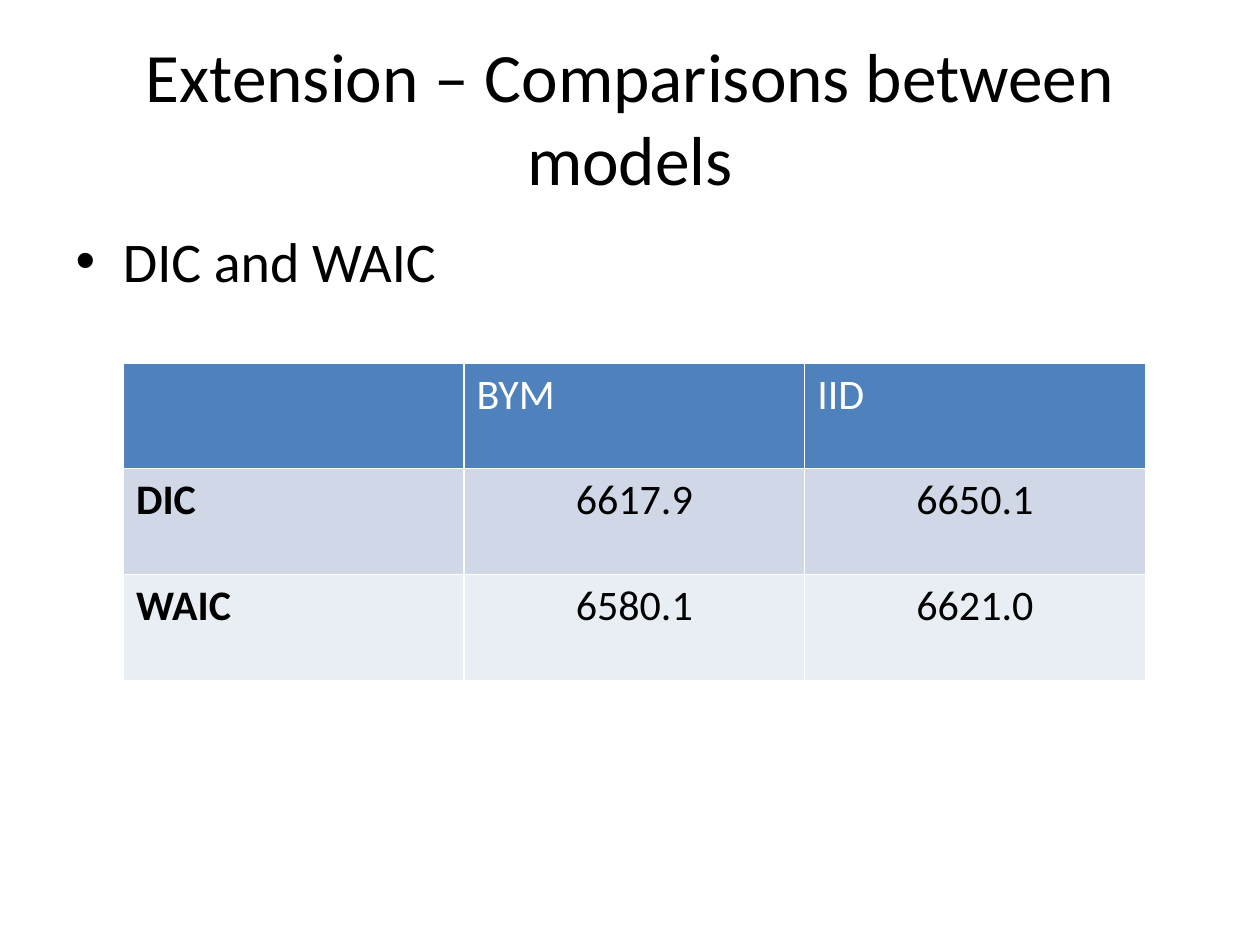
from dataclasses import dataclass

from pptx import Presentation
from pptx.dml.color import RGBColor
from pptx.enum.text import MSO_ANCHOR, MSO_AUTO_SIZE, PP_ALIGN
from pptx.util import Inches, Pt


@dataclass(frozen=True)
class Theme:
    font: str = "Calibri"
    title_size: float = 39.6
    body_size: float = 32
    table_size: float = 24
    text: str = "000000"
    header_text: str = "FFFFFF"
    header_fill: str = "4F81BD"
    band_fills: tuple = ("D0D8E8", "E9EDF4")


THEME = Theme()
SCORES = [
    ("", "BYM", "IID"),
    ("DIC", "6617.9", "6650.1"),
    ("WAIC", "6580.1", "6621.0"),
]


def style_paragraph(para, size, color=THEME.text, bold=False, align=None):
    para.font.name = THEME.font
    para.font.size = Pt(size)
    para.font.bold = bold
    para.font.color.rgb = RGBColor.from_string(color)
    para.alignment = align


def fill_placeholder(box, text, bounds, size, anchor, align=None):
    box.left, box.top, box.width, box.height = map(Inches, bounds)
    frame = box.text_frame
    frame.text = text
    frame.auto_size = MSO_AUTO_SIZE.NONE
    frame.vertical_anchor = anchor
    style_paragraph(frame.paragraphs[0], size, align=align)


def fill_cell(cell, text, row, column):
    header = row == 0
    fill = THEME.header_fill if header else THEME.band_fills[(row - 1) % 2]
    cell.fill.solid()
    cell.fill.fore_color.rgb = RGBColor.from_string(fill)
    cell.text = text
    style_paragraph(
        cell.text_frame.paragraphs[0],
        THEME.table_size,
        color=THEME.header_text if header else THEME.text,
        bold=not header and column == 0,
        align=PP_ALIGN.CENTER if not header and column > 0 else PP_ALIGN.LEFT,
    )


def add_score_table(page, scores, bounds):
    frame = page.shapes.add_table(len(scores), len(scores[0]), *map(Inches, bounds))
    table = frame.table
    table.first_col = True
    for row, values in enumerate(scores):
        for column, text in enumerate(values):
            fill_cell(table.cell(row, column), text, row, column)


def main():
    deck = Presentation()
    deck.slide_width, deck.slide_height = Inches(10), Inches(7.5)
    page = deck.slides.add_slide(deck.slide_layouts[1])
    fill_placeholder(
        page.shapes.title, "Extension – Comparisons between models",
        (0.5, 0.3, 9, 1.25), THEME.title_size, MSO_ANCHOR.MIDDLE, PP_ALIGN.CENTER,
    )
    fill_placeholder(
        page.placeholders[1], "DIC and WAIC",
        (0.5, 1.75, 9, 4.95), THEME.body_size, MSO_ANCHOR.TOP,
    )
    add_score_table(page, SCORES, (0.98, 2.88, 8.11, 2.52))
    deck.save("out.pptx")


if __name__ == "__main__":
    main()
